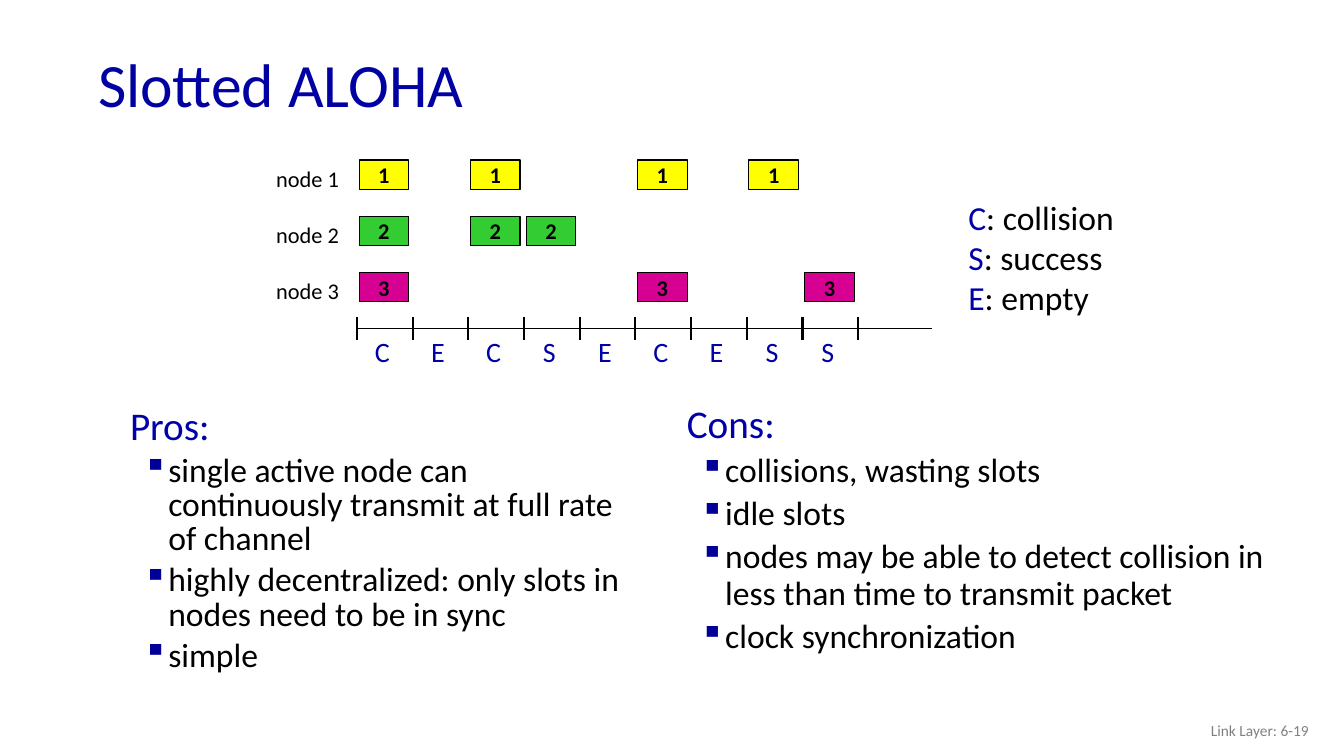
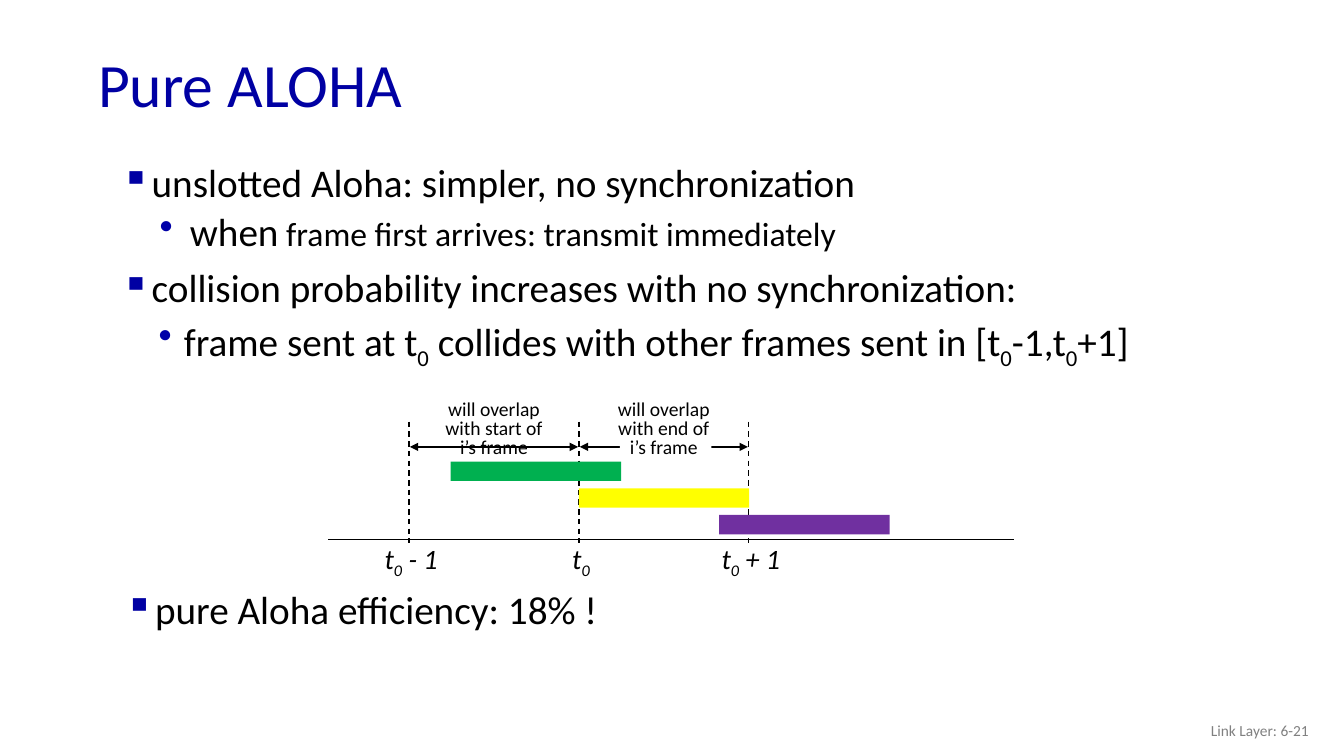
from lxml.etree import SubElement
from pptx import Presentation
from pptx.dml.color import RGBColor
from pptx.enum.dml import MSO_LINE
from pptx.enum.shapes import MSO_CONNECTOR, MSO_SHAPE
from pptx.enum.text import MSO_ANCHOR as Anchor, PP_ALIGN as Align
from pptx.oxml.ns import qn
from pptx.util import Emu, Inches, Pt

TITLE_BLUE = RGBColor(0x00, 0x00, 0xA3)
TEXT_BLUE = RGBColor(0x00, 0x00, 0xA8)
BULLET_BLUE = RGBColor(0x00, 0x00, 0x99)
BLACK = RGBColor(0x00, 0x00, 0x00)
WHITE = RGBColor(0xFF, 0xFF, 0xFF)
GRAY = RGBColor(0x80, 0x80, 0x80)
YELLOW = RGBColor(0xFF, 0xFF, 0x00)
LIME = RGBColor(0x33, 0xCC, 0x33)
MAGENTA = RGBColor(0xD6, 0x00, 0x93)
GREEN = RGBColor(0x00, 0xB0, 0x50)
PURPLE = RGBColor(0x70, 0x30, 0xA0)

COLUMNS, ROWS = 160, 90
SLIDE_WIDTH, SLIDE_HEIGHT = Emu(12192000), Emu(6858000)


def text_style(size, color=BLACK, bullet=None, bold=False, italic=False, **paragraph):
    font = {"name": "Calibri", "size": Pt(size), "color": color, "bold": bold, "italic": italic}
    return {"font": font, "paragraph": paragraph, "bullet": bullet}


def list_styles(line_spacing):
    heading = text_style(28, TEXT_BLUE, line_spacing=line_spacing, space_before=Pt(5.6))
    item = text_style(24, bullet=("▪", BULLET_BLUE, 0.38, 0.25),
                      line_spacing=line_spacing, space_before=Pt(4.8))
    return heading, item


def outline_style(bullet, space_before):
    return text_style(28, bullet=bullet, line_spacing=0.9, space_before=Pt(space_before))


TITLE = text_style(44, TITLE_BLUE, line_spacing=0.9)
FOOTER = text_style(11, GRAY, alignment=Align.RIGHT)
FRAME_NUMBER = text_style(16, bold=True, alignment=Align.CENTER)
NODE_LABEL = text_style(16)
SLOT_RESULT = text_style(20, TEXT_BLUE, alignment=Align.CENTER)
LEGEND = text_style(24)
TIME_LABEL = text_style(20, italic=True, alignment=Align.CENTER)
OVERLAP_LABEL = text_style(14, alignment=Align.CENTER, line_spacing=0.8)
POINT = outline_style(("▪", TITLE_BLUE, 0.44, 0.3), 10)
SUBPOINT = outline_style(("•", TEXT_BLUE, 0.82, 0.3), 5)
TIGHT_SUBPOINT = outline_style(("•", TEXT_BLUE, 0.76, 0.25), 5)
SUBSCRIPT = ("0", {"subscript": True})


class Deck:
    def __init__(self):
        self.presentation = Presentation()
        self.presentation.slide_width = SLIDE_WIDTH
        self.presentation.slide_height = SLIDE_HEIGHT
        self.slide = None

    @staticmethod
    def grid(*cells):
        steps = (SLIDE_WIDTH / COLUMNS, SLIDE_HEIGHT / ROWS)
        return [Emu(round(cell * steps[index % 2])) for index, cell in enumerate(cells)]

    def new_slide(self, title, page):
        self.slide = self.presentation.slides.add_slide(self.presentation.slide_layouts[6])
        self.text((10.5, 4.5, 138, 11.75), [(TITLE, title)], Anchor.MIDDLE)
        self.text((121, 84.6, 36, 4.8), [(FOOTER, f"Link Layer: {page}")], Anchor.MIDDLE)

    @staticmethod
    def format_run(run, values):
        values = dict(values)
        run.font.color.rgb = values.pop("color")
        if values.pop("subscript", False):
            run._r.get_or_add_rPr().set("baseline", "-25000")
        for name, value in values.items():
            setattr(run.font, name, value)

    @staticmethod
    def add_bullet(paragraph, character, color, margin, hanging):
        properties = paragraph._p.get_or_add_pPr()
        properties.set("marL", str(Inches(margin)))
        properties.set("indent", str(-Inches(hanging)))
        bullet_color = SubElement(properties, qn("a:buClr"))
        SubElement(bullet_color, qn("a:srgbClr"), val=str(color))
        SubElement(properties, qn("a:buChar"), char=character)

    def fill_text(self, frame, paragraphs):
        for index, (style, *runs) in enumerate(paragraphs):
            paragraph = frame.add_paragraph() if index else frame.paragraphs[0]
            for name, value in style["paragraph"].items():
                setattr(paragraph, name, value)
            if style["bullet"]:
                self.add_bullet(paragraph, *style["bullet"])
            for item in runs:
                words, changes = (item, {}) if isinstance(item, str) else item
                run = paragraph.add_run()
                run.text = words
                self.format_run(run, {**style["font"], **changes})

    def text(self, area, paragraphs, anchor=Anchor.TOP):
        frame = self.slide.shapes.add_textbox(*self.grid(*area)).text_frame
        frame.word_wrap = True
        frame.vertical_anchor = anchor
        self.fill_text(frame, paragraphs)

    def box(self, area, fill, outline=None, label=None):
        shape = self.slide.shapes.add_shape(MSO_SHAPE.RECTANGLE, *self.grid(*area))
        shape.shadow.inherit = False
        shape.fill.solid()
        shape.fill.fore_color.rgb = fill
        if outline is None:
            shape.line.fill.background()
        else:
            shape.line.color.rgb = outline
            shape.line.width = Pt(0.75)
        if label:
            frame = shape.text_frame
            for side in ("left", "top", "right", "bottom"):
                setattr(frame, f"margin_{side}", 0)
            frame.vertical_anchor = Anchor.MIDDLE
            self.fill_text(frame, [(FRAME_NUMBER, label)])

    def line(self, ends, width=1.0, dash=None, arrows=False):
        connector = self.slide.shapes.add_connector(MSO_CONNECTOR.STRAIGHT, *self.grid(*ends))
        connector.line.color.rgb = BLACK
        for name, value in {"width": Pt(width), "dash_style": dash}.items():
            setattr(connector.line, name, value)
        if arrows:
            for end in ("a:headEnd", "a:tailEnd"):
                SubElement(connector.line._get_or_add_ln(), qn(end), type="triangle")
        SubElement(connector._element.spPr, qn("a:effectLst"))


def slotted_aloha(deck):
    deck.new_slide("Slotted ALOHA", "6-19")
    heading, item = list_styles(0.85)
    deck.text((14.3, 48, 63.6, 42), [
        (heading, "Pros:"),
        (item, "single active node can continuously transmit at full rate of channel"),
        (item, "highly decentralized: only slots in nodes need to be in sync"),
        (item, "simple"),
    ])
    heading, item = list_styles(0.9)
    deck.text((80.6, 47.6, 73.2, 36), [
        (heading, "Cons:"),
        (item, "collisions, wasting slots"),
        (item, "idle slots"),
        (item, "nodes may be able to detect collision in less than time to transmit packet"),
        (item, "clock synchronization"),
    ])

    start, slot, axis = 42.5, 6.63, 39.1
    nodes = [(YELLOW, (0, 2, 5, 7)), (LIME, (0, 2, 3)), (MAGENTA, (0, 5, 8))]
    for index, (color, sent_slots) in enumerate(nodes):
        top = 19.05 + index * 6.7
        number = str(index + 1)
        deck.text((31.7, top, 11, 4.4), [(NODE_LABEL, f"node {number}")])
        for sent in sent_slots:
            deck.box((start + 0.25 + sent * slot, top, 5.9, 3.5), color, BLACK, number)

    results = "CECSECESS"
    deck.line((start, axis, 110.9, axis), 0.75)
    for index in range(len(results) + 1):
        tick = start + index * slot
        deck.line((tick, axis - 1.4, tick, axis + 1.4), 1.5)
    for index, result in enumerate(results):
        deck.text((start - 0.3 + index * slot, 39.25, slot, 5.25), [(SLOT_RESULT, result)])

    meanings = {"C": "collision", "S": "success", "E": "empty"}
    deck.text((114.1, 22.8, 22, 15.7), [
        (LEGEND, (letter, {"color": TEXT_BLUE}), f": {meaning}")
        for letter, meaning in meanings.items()
    ])


def pure_aloha(deck):
    deck.new_slide("Pure ALOHA", "6-21")
    deck.text((11.6, 18.85, 138, 30.4), [
        (POINT, "unslotted Aloha: simpler, no synchronization"),
        (SUBPOINT, "when", (" frame first arrives: transmit immediately", {"size": Pt(24)})),
        (POINT, "collision probability increases with no synchronization:"),
        (TIGHT_SUBPOINT, "frame sent at t", SUBSCRIPT, " collides with other frames sent in [t",
         SUBSCRIPT, "-1,t", SUBSCRIPT, "+1]"),
    ])

    start, period, axis, arrow_row = 48.7, 20.22, 64.2, 53.2
    for index in range(2):
        left = start + index * period
        deck.line((left + 0.1, arrow_row, left + period - 0.1, arrow_row), arrows=True)
    deck.box((73.8, 52.7, 10.9, 0.75), WHITE)
    deck.line((39.1, axis, 120.7, axis))
    for index, suffix in enumerate((" - 1", "", " + 1")):
        moment = start + index * period
        deck.line((moment, 50.2, moment, 64.6), dash=MSO_LINE.DASH)
        runs = ["t", SUBSCRIPT] + ([suffix] if suffix else [])
        deck.text((moment - 5.75, 63.9, 12, 5.25), [(TIME_LABEL, *runs)])
    for index, (left, color) in enumerate([(53.65, GREEN), (68.9, YELLOW), (85.6, PURPLE)]):
        deck.box((left, 54.95 + index * 3.18, 20.3, 2.3), color)
    for index, part in enumerate(("start", "end")):
        lines = ("will overlap", f"with {part} of", "i’s frame")
        deck.text((start + index * period, 47.2, period, 8),
                  [(OVERLAP_LABEL, words) for words in lines])

    deck.text((12, 69.7, 138, 8.2), [(POINT, "pure Aloha efficiency: 18% !")])


def main():
    deck = Deck()
    slotted_aloha(deck)
    pure_aloha(deck)
    deck.presentation.save("out.pptx")


if __name__ == "__main__":
    main()
